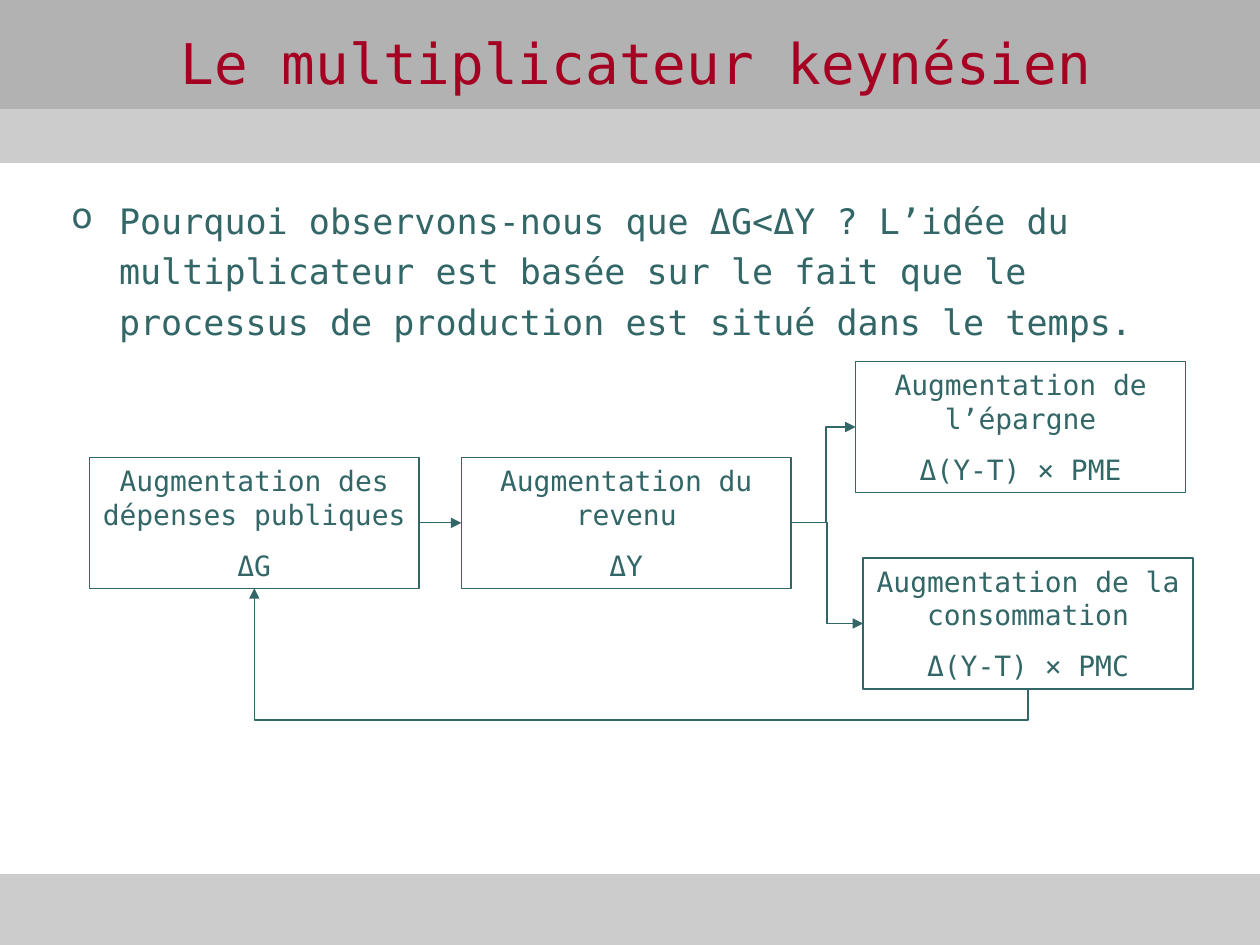
from lxml import etree
from pptx import Presentation, util as u
from pptx.dml.color import RGBColor
from pptx.enum import shapes, text
from pptx.oxml import ns

RED = RGBColor(0xA5, 0x00, 0x21)
TEAL = RGBColor(0x33, 0x66, 0x66)
PALE = RGBColor(0xCC, 0xCC, 0xCC)
GREY = RGBColor(0xB2, 0xB2, 0xB2)
WIDE, TALL = 25.4, 19.05
BOX_W, BOX_H = 6.65, 2.64


def child(node, tag, **attrs):
    return etree.SubElement(node, ns.qn(tag), **attrs)


class Board:
    face = "DejaVu Sans Mono"
    line = u.Pt(0.75)

    def __init__(self, deck):
        self.slide = deck.slides.add_slide(deck.slide_layouts[6])
        self.items = self.slide.shapes

    def rect(self, x, y, w, h, color):
        shape = self.items.add_shape(
            shapes.MSO_SHAPE.RECTANGLE, u.Cm(x), u.Cm(y), u.Cm(w), u.Cm(h))
        shape.shadow.inherit = False
        shape.line.color.rgb = color
        shape.line.width = self.line
        return shape

    def band(self, y, h, color):
        shape = self.rect(0, y, WIDE, h, color)
        shape.fill.solid()
        shape.fill.fore_color.rgb = color

    def style(self, para, size, color):
        para.font.name = self.face
        para.font.size = u.Pt(size)
        para.font.color.rgb = color

    def label(self, x, y, w, h, words):
        frame = self.items.add_textbox(u.Cm(x), u.Cm(y), u.Cm(w), u.Cm(h)).text_frame
        frame.word_wrap = True
        para = frame.paragraphs[0]
        para.text = words
        return frame, para

    def title(self, x, y, w, h, words):
        frame, para = self.label(x, y, w, h, words)
        frame.vertical_anchor = text.MSO_ANCHOR.MIDDLE
        para.alignment = text.PP_ALIGN.CENTER
        self.style(para, 32, RED)

    def bullet(self, x, y, w, h, words):
        para = self.label(x, y, w, h, words)[1]
        para.line_spacing = 1.2
        props = para._p.get_or_add_pPr()
        indent = u.Cm(0.96)
        props.set("marL", str(indent))
        props.set("indent", str(-indent))
        child(child(props, "a:buClr"), "a:srgbClr", val=str(TEAL))
        child(props, "a:buChar", char="o")
        self.style(para, 20, TEAL)

    def box(self, x, y, *lines):
        shape = self.rect(x, y, BOX_W, BOX_H, TEAL)
        shape.fill.background()
        frame = shape.text_frame
        frame.word_wrap = True
        frame.vertical_anchor = text.MSO_ANCHOR.TOP
        for i, words in enumerate(lines):
            para = frame.add_paragraph() if i else frame.paragraphs[0]
            para.text = words
            para.alignment = text.PP_ALIGN.CENTER
            if i:
                para.space_before = u.Pt(10)
            self.style(para, 16, TEAL)
        return shape

    def arrow(self, kind, *ends):
        link = self.items.add_connector(kind, *ends)
        link.line.color.rgb = TEAL
        link.line.width = self.line
        child(link.line._get_or_add_ln(), "a:tailEnd", type="triangle")
        child(link._element.spPr, "a:effectLst")
        return link

    def join(self, start, end):
        link = self.arrow(shapes.MSO_CONNECTOR.STRAIGHT, 0, 0, 0, 0)
        link.begin_connect(start, 3)
        link.end_connect(end, 1)

    def elbow(self, ends, bend, turn=0):
        link = self.arrow(shapes.MSO_CONNECTOR.ELBOW, *ends)
        props = link._element.spPr
        guides = props.find(ns.qn("a:prstGeom")).get_or_add_avLst()
        child(guides, "a:gd", name="adj1", fmla=f"val {round(bend * 100000)}")
        if turn:
            props.find(ns.qn("a:xfrm")).set("rot", str(turn * 60000))

    def fork(self, start, end, bend):
        self.elbow((start.left + start.width, start.top + start.height // 2,
                    end.left, end.top + end.height // 2), bend)

    def loop(self, start, end, drop):
        x1, y1 = start.left + start.width // 2, start.top + start.height
        x2, y2 = end.left + end.width // 2, end.top + end.height
        mid_x, mid_y = (x1 + x2) // 2, (y1 + y2) // 2
        half_w, half_h = (y1 - y2) // 2, (x1 - x2) // 2
        ends = mid_x - half_w, mid_y + half_h, mid_x + half_w, mid_y - half_h
        self.elbow(ends, -u.Cm(drop) / (y1 - y2), 270)


def main():
    deck = Presentation()
    deck.slide_width, deck.slide_height = u.Cm(WIDE), u.Cm(TALL)
    board = Board(deck)
    board.band(1.52, 1.75, PALE)
    board.band(0, 2.18, GREY)
    board.band(17.63, 1.42, PALE)
    board.title(0.84, 0.53, 23.98, 1.45, "Le multiplicateur keynésien")
    board.bullet(1.19, 3.73, 23.44, 1.3,
                 "Pourquoi observons-nous que ΔG<ΔY ? L’idée du multiplicateur "
                 "est basée sur le fait que le processus de production est "
                 "situé dans le temps.")
    spend = board.box(1.8, 9.22, "Augmentation des dépenses publiques", "ΔG")
    income = board.box(9.3, 9.22, "Augmentation du revenu", "ΔY")
    saving = board.box(17.25, 7.29, "Augmentation de l’épargne", "Δ(Y-T) × PME")
    buying = board.box(17.4, 11.25, "Augmentation de la consommation", "Δ(Y-T) × PMC")
    board.join(spend, income)
    board.fork(income, saving, 0.54)
    board.fork(income, buying, 0.5)
    board.loop(buying, spend, 0.63)
    deck.save("out.pptx")


if __name__ == "__main__":
    main()
